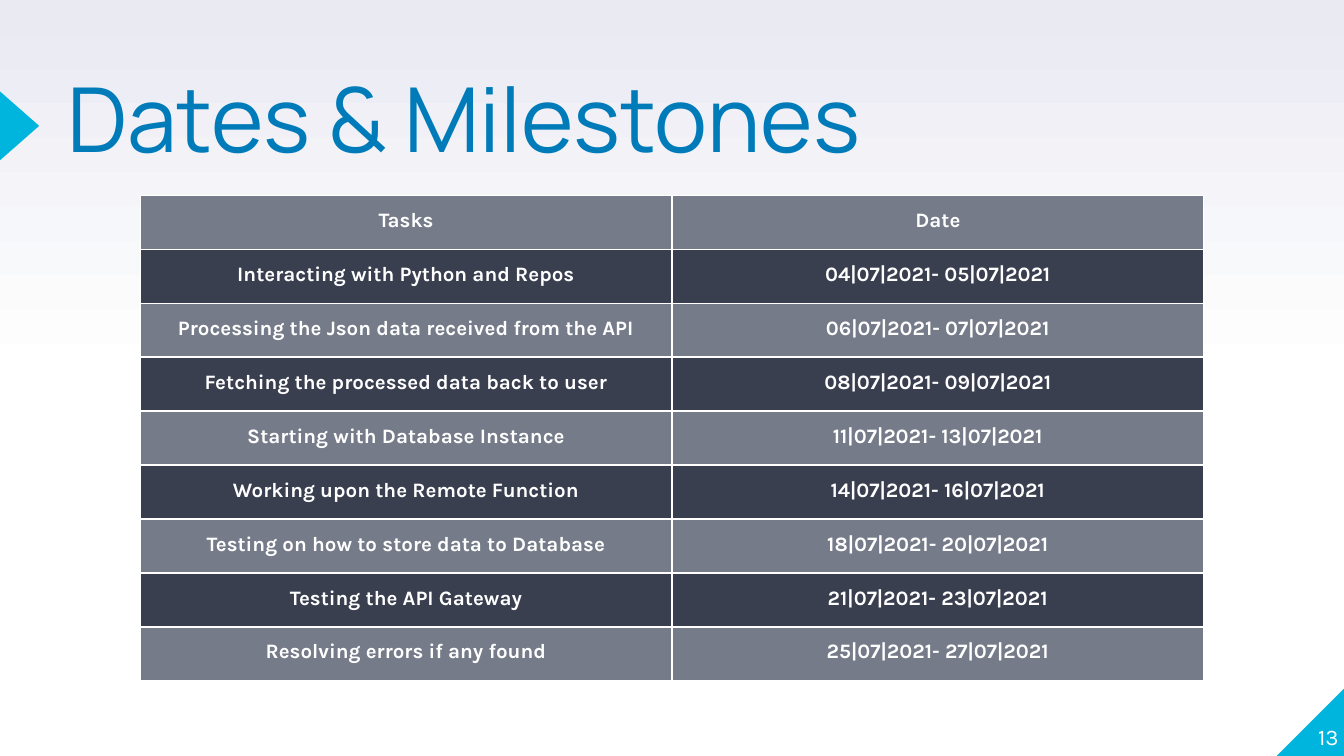
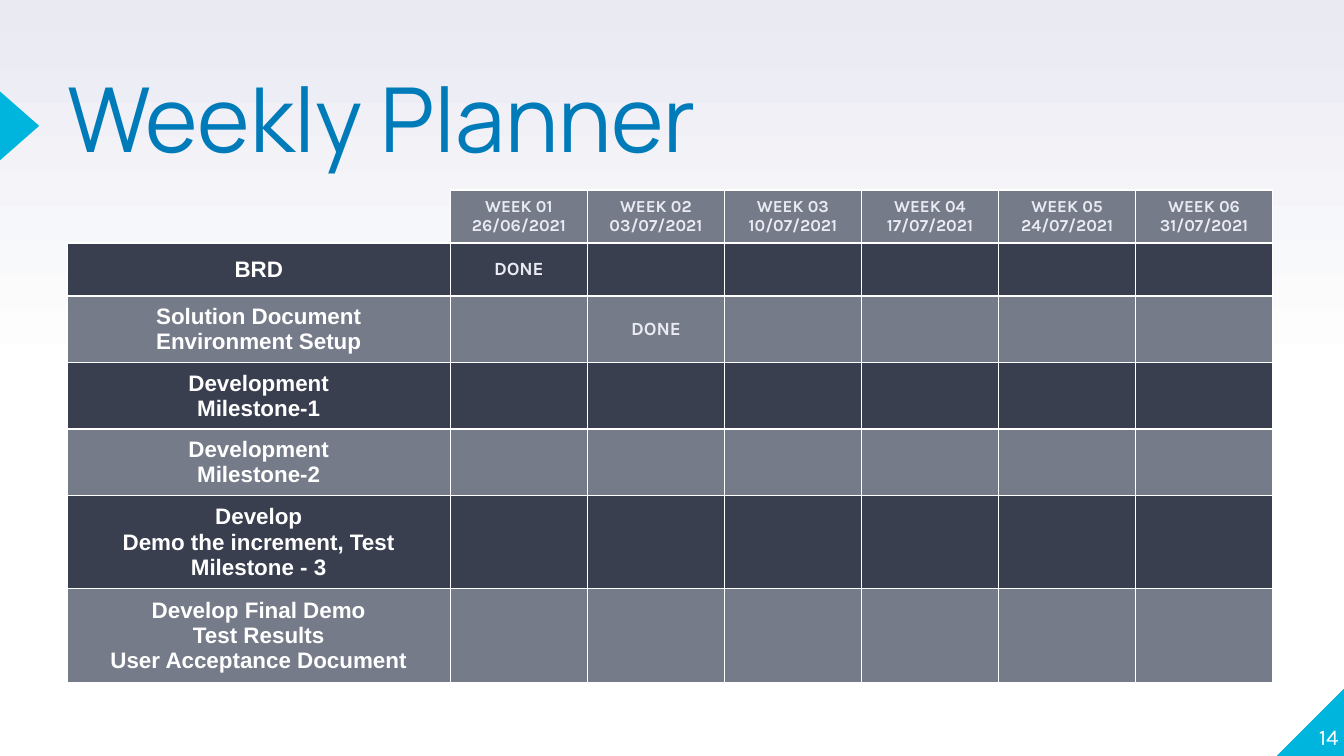
from copy import deepcopy
from lxml.etree import SubElement
from pptx import Presentation
from pptx.dml.color import RGBColor
from pptx.enum.shapes import MSO_SHAPE
from pptx.enum.text import MSO_ANCHOR, PP_ALIGN
from pptx.oxml.ns import qn
from pptx.util import Cm, Pt

WHITE = RGBColor(0xFF, 0xFF, 0xFF)
MIST = RGBColor(0xE9, 0xEA, 0xF2)
CYAN = RGBColor(0x00, 0xB5, 0xDD)
BLUE = RGBColor(0x00, 0x7B, 0xB9)
GREY = RGBColor(0x75, 0x7B, 0x89)
NAVY = RGBColor(0x3A, 0x3F, 0x50)

TITLE_FONT = "Manrope"
BODY_FONT = "Karla"
TASK_FONT = "Arial"

MILESTONES = [
    ("Tasks", "Date"),
    ("Interacting with Python and Repos", "04|07|2021- 05|07|2021"),
    ("Processing the Json data received from the API", "06|07|2021- 07|07|2021"),
    ("Fetching the processed data back to user", "08|07|2021- 09|07|2021"),
    ("Starting with Database Instance", "11|07|2021- 13|07|2021"),
    ("Working upon the Remote Function", "14|07|2021- 16|07|2021"),
    ("Testing on how to store data to Database", "18|07|2021- 20|07|2021"),
    ("Testing the API Gateway", "21|07|2021- 23|07|2021"),
    ("Resolving errors if any found", "25|07|2021- 27|07|2021"),
]
WEEK_STARTS = ["26/06/2021", "03/07/2021", "10/07/2021",
               "17/07/2021", "24/07/2021", "31/07/2021"]
PLANNED_TASKS = [
    "BRD",
    "Solution Document\nEnvironment Setup",
    "Development\nMilestone-1",
    "Development\nMilestone-2",
    "Develop\nDemo the increment, Test\nMilestone - 3",
    "Develop Final Demo\nTest Results\nUser Acceptance Document",
]
DONE_WEEKS = {1: 1, 2: 2}
WEEK_ROW_HEIGHT = 0.98
TASK_ROW_HEIGHTS = {1: 1.0, 2: 1.24, 3: 1.73}


def set_backdrop(master):
    fill = master.background.fill
    fill.gradient()
    fill.gradient_angle = 90
    stop_list = master._element.find(".//" + qn("a:gsLst"))
    stop_list.insert(0, deepcopy(stop_list[0]))
    for stop, position, color in zip(fill.gradient_stops, (0, 0.5, 1), (WHITE, WHITE, MIST)):
        stop.position = position
        stop.color.rgb = color


def write(frame, text, font, size, color, bold=False, align=PP_ALIGN.LEFT):
    frame.text = text
    for paragraph in frame.paragraphs:
        paragraph.alignment = align
        for run in paragraph.runs:
            run.font.name = font
            run.font.size = Pt(size)
            run.font.color.rgb = color
            run.font.bold = bold
        if not paragraph.runs:
            SubElement(paragraph._p, qn("a:endParaRPr"), sz=str(size * 100))


def add_label(slide, text, left, top, width, height, anchor, **style):
    frame = slide.shapes.add_textbox(Cm(left), Cm(top), Cm(width), Cm(height)).text_frame
    frame.word_wrap = True
    frame.vertical_anchor = anchor
    frame.margin_left = frame.margin_right = frame.margin_top = frame.margin_bottom = 0
    write(frame, text, **style)
    return frame


def add_accent(slide, preset, left, top, width, height):
    accent = slide.shapes.add_shape(preset, Cm(left), Cm(top), Cm(width), Cm(height))
    accent.shadow.inherit = False
    accent.fill.solid()
    accent.fill.fore_color.rgb = CYAN
    accent.line.fill.background()
    return accent


def add_base_slide(prs, title, number):
    slide = prs.slides.add_slide(prs.slide_layouts[6])
    corner = add_accent(slide, MSO_SHAPE.RIGHT_TRIANGLE, 24.13, 12.99, 1.3, 1.3)
    corner._element.spPr.find(qn("a:xfrm")).set("flipH", "1")
    marker = add_accent(slide, MSO_SHAPE.ISOSCELES_TRIANGLE, -0.28, 2.01, 1.3, 0.74)
    marker.rotation = 90
    heading = add_label(slide, title, 1.27, 1.3, 15.67, 2.18, MSO_ANCHOR.MIDDLE,
                        font=TITLE_FONT, size=48, color=BLUE)
    heading.paragraphs[0].line_spacing = 0.8
    add_label(slide, str(number), 24.03, 12.88, 1.27, 1.3, MSO_ANCHOR.BOTTOM,
              font=BODY_FONT, size=12, color=WHITE, align=PP_ALIGN.RIGHT)
    return slide


def add_grid(slide, left, top, widths, heights):
    grid = slide.shapes.add_table(len(heights), len(widths), Cm(left), Cm(top),
                                  Cm(sum(widths)), Cm(sum(heights))).table
    grid.first_row = grid.horz_banding = False
    for column, width in zip(grid.columns, widths):
        column.width = Cm(width)
    for row, height in zip(grid.rows, heights):
        row.height = Cm(height)
    return grid


def set_borders(cell, shown="LRTB"):
    properties = cell._tc.get_or_add_tcPr()
    for side in "LRTB":
        line = SubElement(properties, qn(f"a:ln{side}"), w=str(Pt(0.75)))
        if side in shown:
            fill = SubElement(line, qn("a:solidFill"))
            SubElement(fill, qn("a:srgbClr"), val=str(WHITE))
        else:
            SubElement(line, qn("a:noFill"))


def fill_cell(cell, row, text, margin, anchor, **style):
    set_borders(cell)
    cell.fill.solid()
    cell.fill.fore_color.rgb = NAVY if row % 2 else GREY
    cell.margin_left = cell.margin_right = Cm(0.25)
    cell.margin_top = cell.margin_bottom = Cm(margin)
    cell.vertical_anchor = anchor
    write(cell.text_frame, text, bold=True, align=PP_ALIGN.CENTER, **style)


def add_milestones(slide):
    grid = add_grid(slide, 2.65, 3.69, [10.05] * 2, [1.02] * len(MILESTONES))
    for row, entries in enumerate(MILESTONES):
        for column, entry in enumerate(entries):
            fill_cell(grid.cell(row, column), row, entry, 0.25, MSO_ANCHOR.TOP,
                      font=BODY_FONT, size=11, color=WHITE)


def add_planner(slide):
    heights = [WEEK_ROW_HEIGHT]
    heights += [TASK_ROW_HEIGHTS[task.count("\n") + 1] for task in PLANNED_TASKS]
    grid = add_grid(slide, 1.27, 3.59, [7.24] + [2.59] * len(WEEK_STARTS), heights)

    def put(row, column, text, font, size, color):
        fill_cell(grid.cell(row, column), row, text, 0.12, MSO_ANCHOR.MIDDLE,
                  font=font, size=size, color=color)

    corner = grid.cell(0, 0)
    set_borders(corner, "RB")
    corner.fill.background()
    write(corner.text_frame, "", BODY_FONT, 9, MIST)
    for week, start in enumerate(WEEK_STARTS, 1):
        put(0, week, f"WEEK {week:02}\n{start}", BODY_FONT, 9, MIST)
    for row, task in enumerate(PLANNED_TASKS, 1):
        put(row, 0, task, TASK_FONT, 12, WHITE)
        for week in range(1, len(WEEK_STARTS) + 1):
            status = "DONE" if DONE_WEEKS.get(row) == week else ""
            put(row, week, status, BODY_FONT, 10, MIST)


def main():
    prs = Presentation()
    prs.slide_width = Cm(25.4)
    prs.slide_height = Cm(14.29)
    set_backdrop(prs.slide_master)
    add_milestones(add_base_slide(prs, "Dates & Milestones", 13))
    add_planner(add_base_slide(prs, "Weekly Planner", 14))
    prs.save("out.pptx")


if __name__ == "__main__":
    main()
